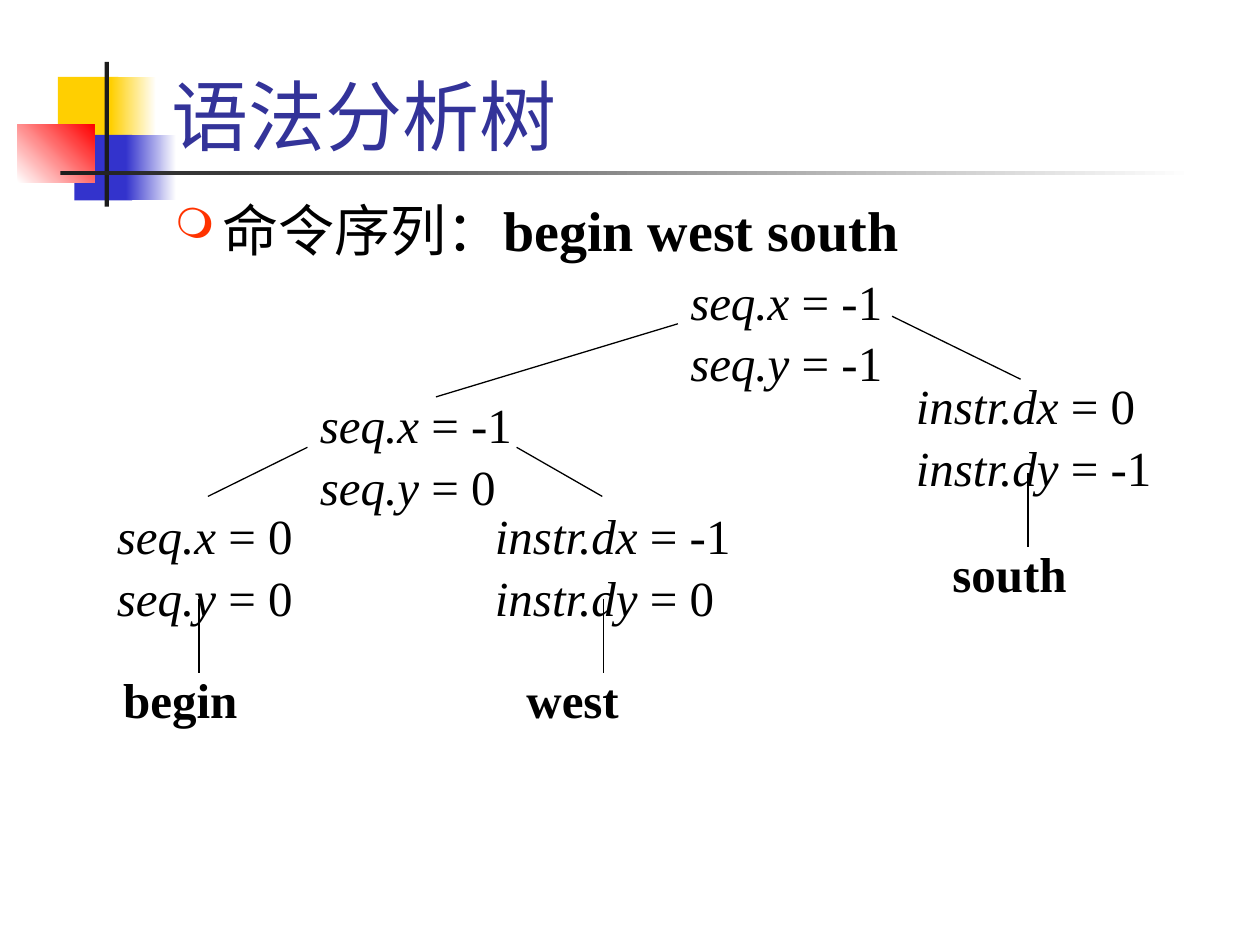
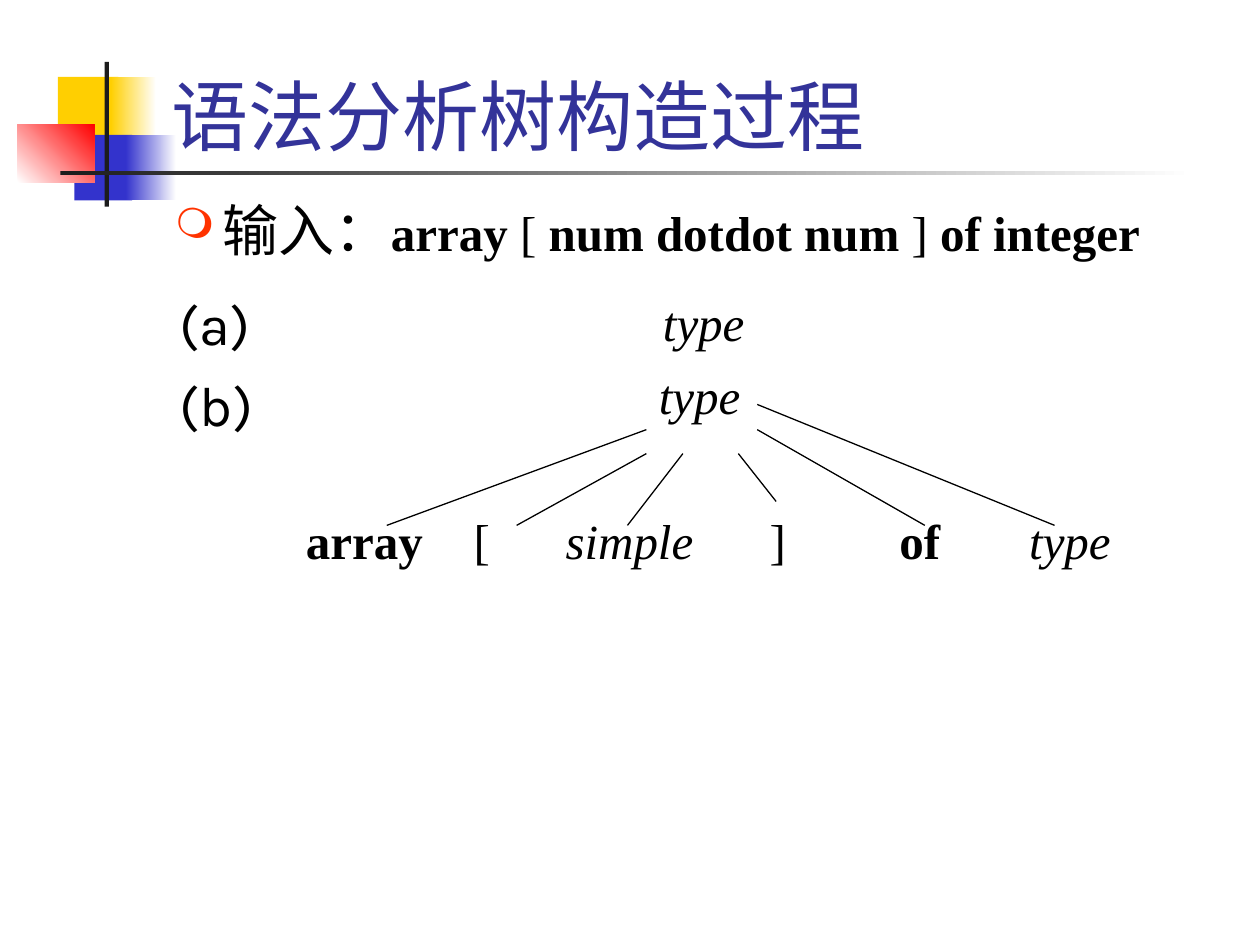
import pptx
import pptx.dml.color
import pptx.enum.shapes
import pptx.enum.text
import pptx.util
from lxml import etree
from pptx.oxml.ns import qn

COLUMNS, ROWS = 100, 75
BLACK, WHITE, INK = "000000", "FFFFFF", "1C1C1C"
YELLOW, BLUE, RED = "FFCF01", "3333CC", "FF0000"
TITLE_BLUE, BULLET_RED = "333399", "FF3300"
SERIF, SANS = "Times New Roman", "Karla"
TITLE_SIZE, BODY_SIZE, NODE_SIZE = 44, 32, 28
PLAIN, BOLD, ITALIC = "plain", "bold", "italic"
LEFT, CENTER = pptx.enum.text.PP_ALIGN.LEFT, pptx.enum.text.PP_ALIGN.CENTER


def color(hex_code):
    """Turn a hex string into a colour."""
    return pptx.dml.color.RGBColor.from_string(hex_code)


class Deck:
    """Hold the style, the grid and the current slide."""

    def __init__(self):
        """Start a presentation of 10 by 7.5 inches."""
        self.presentation = pptx.Presentation()
        self.presentation.slide_width = pptx.util.Inches(10)
        self.presentation.slide_height = pptx.util.Inches(7.5)
        self.slide = None

    def place(self, column, row):
        """Give the lengths of a grid position."""
        return (int(self.presentation.slide_width * column / COLUMNS),
                int(self.presentation.slide_height * row / ROWS))

    def block(self, column, row, width, height, start, end=None, angle=0):
        """Draw a borderless rectangle, solid or fading from start to end."""
        shape = self.slide.shapes.add_shape(
            pptx.enum.shapes.MSO_SHAPE.RECTANGLE,
            *self.place(column, row), *self.place(width, height))
        shape.shadow.inherit = False
        shape.line.fill.background()
        if end is None:
            shape.fill.solid()
            shape.fill.fore_color.rgb = color(start)
            return
        shape.fill.gradient()
        shape.fill.gradient_angle = angle
        for stop, hex_code in zip(shape.fill.gradient_stops, (start, end)):
            stop.color.rgb = color(hex_code)

    def text(self, column, row, width, height, lines, size=NODE_SIZE, ink=BLACK,
             font=SERIF, align=LEFT, spacing=1.0):
        """Write one paragraph of (words, style) lines and return its shape."""
        shape = self.slide.shapes.add_textbox(
            *self.place(column, row), *self.place(width, height))
        frame = shape.text_frame
        frame.word_wrap = True
        paragraph = frame.paragraphs[0]
        paragraph.alignment = align
        paragraph.line_spacing = spacing
        self.style(paragraph, size, ink, font)
        for number, line in enumerate(lines):
            if number:
                paragraph.add_line_break()
            for words, style, *own_size in line:
                run = paragraph.add_run()
                run.text = words
                run.font.bold = style == BOLD
                run.font.italic = style == ITALIC
                if own_size:
                    run.font.size = pptx.util.Pt(own_size[0])
        return shape

    def style(self, paragraph, size, ink, font):
        """Set the font of a whole paragraph."""
        paragraph.font.size = pptx.util.Pt(size)
        paragraph.font.name = font
        paragraph.font.color.rgb = color(ink)

    def start_slide(self, title):
        """Add a slide with the corner blocks, the rules and a title."""
        self.slide = self.presentation.slides.add_slide(
            self.presentation.slide_layouts[6])
        self.block(4.6, 6.1, 4.8, 5.2, YELLOW)
        self.block(8.8, 6.1, 3.6, 5.2, YELLOW, WHITE)
        self.block(5.9, 10.7, 4.6, 5.2, BLUE)
        self.block(10, 10.7, 4, 5.2, BLUE, WHITE)
        self.block(1.4, 9.9, 6.1, 4.6, WHITE, RED, angle=45)
        self.block(8.3, 4.9, 0.35, 11.5, INK)
        self.block(4.8, 13.6, 90, 0.3, INK, WHITE)
        shape = self.text(12.6, 0.8, 85.2, 12.5, [[(title, PLAIN)]],
                          TITLE_SIZE, TITLE_BLUE)
        shape.text_frame.vertical_anchor = pptx.enum.text.MSO_ANCHOR.BOTTOM

    def bullet(self, runs, height):
        """Write the bulleted line below the title."""
        shape = self.text(12.9, 15, 85, height, [runs], BODY_SIZE)
        properties = shape.text_frame.paragraphs[0]._p.get_or_add_pPr()
        indent = pptx.util.Inches(0.38)
        properties.set("marL", str(indent))
        properties.set("indent", str(-indent))
        marks = [etree.Element(qn(name)) for name in ("a:buClr", "a:buSzPct", "a:buChar")]
        etree.SubElement(marks[0], qn("a:srgbClr")).set("val", BULLET_RED)
        marks[1].set("val", "75000")
        marks[2].set("char", "❍")
        defaults = properties.find(qn("a:defRPr"))
        for mark in marks:
            defaults.addprevious(mark)

    def node(self, column, row, width, words, style, align=LEFT):
        """Write a one-line tree node."""
        self.text(column, row, width, 5.7, [[(words, style)]],
                  align=align, spacing=1.05)

    def attributes(self, column, row, width, values):
        """Write a tree node of attribute names and their values."""
        lines = [[(f"{name} ", ITALIC), (f"= {value}", PLAIN)]
                 for name, value in values.items()]
        self.text(column, row, width, 10.4, lines, spacing=1.05)

    def labels(self, column, row, width, height, names):
        """Write the step labels, one paragraph each."""
        shape = self.text(column, row, width, height, [[(names[0], PLAIN)]],
                          BODY_SIZE, font=SANS)
        for name in names[1:]:
            paragraph = shape.text_frame.add_paragraph()
            paragraph.text = name
            paragraph.space_before = pptx.util.Pt(8)
            self.style(paragraph, BODY_SIZE, BLACK, SANS)

    def edge(self, start, end):
        """Draw a thin tree edge between two grid positions."""
        connector = self.slide.shapes.add_connector(
            pptx.enum.shapes.MSO_CONNECTOR.STRAIGHT,
            *self.place(*start), *self.place(*end))
        connector.line.width = pptx.util.Pt(0.74)
        connector.line.color.rgb = color(BLACK)
        etree.SubElement(connector._element.spPr, qn("a:effectLst"))


def attribute_tree(deck):
    """Build the tree annotated with attribute values."""
    deck.start_slide("语法分析树")
    deck.bullet([("命令序列：", PLAIN), ("begin west south", BOLD)], 9.2)
    for column, row, width, values in (
            (24.4, 30.6, 18.1, {"seq.x": -1, "seq.y": 0}),
            (8.3, 39.4, 21.7, {"seq.x": 0, "seq.y": 0}),
            (53.8, 20.8, 19.5, {"seq.x": -1, "seq.y": -1}),
            (38.3, 39.4, 23.7, {"instr.dx": -1, "instr.dy": 0}),
            (71.7, 29.1, 22.5, {"instr.dx": 0, "instr.dy": -1})):
        deck.attributes(column, row, width, values)
    for start, end in (((70.8, 25.1), (81, 30.1)), ((41, 35.5), (47.8, 39.4)),
                       ((53.8, 25.7), (34.6, 31.5)), ((24.4, 35.5), (16.5, 39.4))):
        deck.edge(start, end)
    stem = 5.9
    for word, column, width, stem_column, stem_row in (
            ("begin", 8.8, 14.6, 15.8, 47.5),
            ("west", 40.8, 13.3, 47.9, 47.5),
            ("south", 74.6, 15.4, 81.6, 37.5)):
        deck.node(column, stem_row + 4.9, width, word, BOLD)
        deck.edge((stem_column, stem_row), (stem_column, stem_row + stem))


def construction_steps(deck):
    """Build the first two steps of the parse tree."""
    deck.start_slide("语法分析树构造过程")
    deck.bullet([("输入：", PLAIN), ("array ", BOLD, NODE_SIZE), ("[ ", PLAIN, NODE_SIZE),
                 ("num dotdot num ", BOLD, NODE_SIZE), ("] ", PLAIN, NODE_SIZE),
                 ("of integer", BOLD, NODE_SIZE)], 6.7)
    deck.node(49.2, 22.5, 13.3, "type", ITALIC, CENTER)
    deck.labels(13.3, 22.5, 8.3, 45.8, ["(a)", "(b)"])
    deck.node(51.3, 28.3, 22.1, "type", ITALIC)
    leaf_row, edge_end = 39.8, 41.7
    for word, style, column, width, start, end in (
            ("array", BOLD, 23.3, 22.1, (51.3, 34.1), (30.7, edge_end)),
            ("[", PLAIN, 36.6, 22.1, (51.3, 36), (41, edge_end)),
            ("simple", ITALIC, 43.9, 22.1, (54.2, 36), (49.8, edge_end)),
            ("]", PLAIN, 60.1, 22.1, (58.6, 36), (61.6, leaf_row)),
            ("of", BOLD, 70.4, 22.1, (60.1, 34.1), (73.4, edge_end)),
            ("type", ITALIC, 80.7, 10.3, (60.1, 32.1), (83.7, edge_end))):
        deck.node(column, leaf_row, width, word, style)
        deck.edge(start, end)


deck = Deck()
attribute_tree(deck)
construction_steps(deck)
deck.presentation.save("out.pptx")
